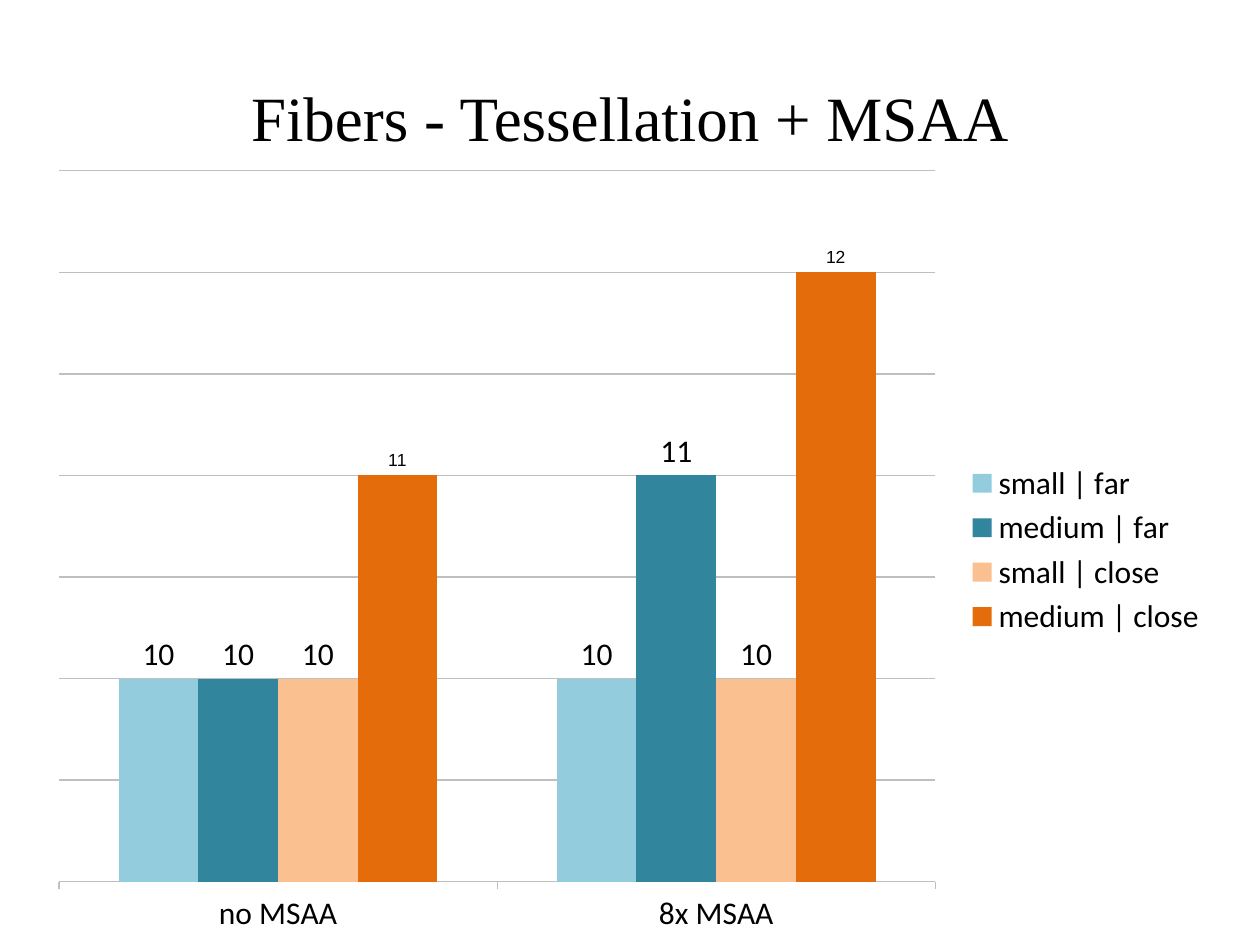
from dataclasses import dataclass

from lxml import etree
from pptx import Presentation
from pptx.chart.chart import Chart
from pptx.chart.data import CategoryChartData
from pptx.dml.color import RGBColor
from pptx.enum.chart import (
    XL_CHART_TYPE,
    XL_LABEL_POSITION,
    XL_LEGEND_POSITION,
    XL_TICK_LABEL_POSITION,
    XL_TICK_MARK,
)
from pptx.enum.text import MSO_ANCHOR, PP_ALIGN
from pptx.oxml.ns import qn
from pptx.util import Inches, Pt

CLUSTERED = XL_CHART_TYPE.COLUMN_CLUSTERED
OUTSIDE_END = XL_LABEL_POSITION.OUTSIDE_END
LEGEND_RIGHT = XL_LEGEND_POSITION.RIGHT
LABELS_LOW = XL_TICK_LABEL_POSITION.LOW
TICK_OUTSIDE = XL_TICK_MARK.OUTSIDE
TICK_NONE = XL_TICK_MARK.NONE
MIDDLE = MSO_ANCHOR.MIDDLE
CENTER = PP_ALIGN.CENTER

COLORS = {
    "text": "000000",
    "line": "BFBFBF",
    "small_far": "93CDDD",
    "medium_far": "31859C",
    "small_close": "FAC090",
    "medium_close": "E46C0A",
}
CATEGORIES = ["no MSAA", "8x MSAA"]


@dataclass(frozen=True)
class FiberSeries:
    name: str
    values: tuple[int, int]
    color: str
    label_font: str = "Calibri"
    label_size: int = 18


FIBER_SERIES = [
    FiberSeries("small | far", (10, 10), "small_far"),
    FiberSeries("medium | far", (10, 11), "medium_far"),
    FiberSeries("small | close", (10, 10), "small_close"),
    FiberSeries("medium | close", (11, 12), "medium_close", "Arial", 10),
]


def rgb(name: str) -> RGBColor:
    return RGBColor.from_string(COLORS[name])


def style_font(font, name: str, size: int) -> None:
    font.name = name
    font.size = Pt(size)
    font.bold = False
    font.color.rgb = rgb("text")


def style_line(line) -> None:
    line.color.rgb = rgb("line")
    line.width = Pt(0.75)


def add_title(slide, text: str) -> None:
    title = slide.shapes.title
    title.left, title.top = Inches(0.5), Inches(0.3)
    title.width, title.height = Inches(9), Inches(1.25)
    title.text_frame.vertical_anchor = MIDDLE
    paragraph = title.text_frame.paragraphs[0]
    paragraph.alignment = CENTER
    run = paragraph.add_run()
    run.text = text
    style_font(run.font, "Times New Roman", 36)


def place_plot(chart: Chart, left: float, top: float, width: float, height: float) -> None:
    plot_area = chart.plots[0]._element.getparent()
    for old_layout in plot_area.findall(qn("c:layout")):
        plot_area.remove(old_layout)
    layout = etree.Element(qn("c:layout"))
    plot_area.insert(0, layout)
    manual = etree.SubElement(layout, qn("c:manualLayout"))
    settings = {
        "layoutTarget": "inner", "xMode": "edge", "yMode": "edge",
        "x": left, "y": top, "w": width, "h": height,
    }
    for tag, value in settings.items():
        etree.SubElement(manual, qn(f"c:{tag}")).set("val", str(value))


def style_axes(chart: Chart) -> None:
    category_axis = chart.category_axis
    category_axis.major_tick_mark = TICK_OUTSIDE
    category_axis.minor_tick_mark = TICK_NONE
    category_axis.tick_label_position = LABELS_LOW
    style_line(category_axis.format.line)

    value_axis = chart.value_axis
    value_axis.minimum_scale = 9
    value_axis.maximum_scale = 12.5
    value_axis.major_unit = 0.5
    value_axis.has_major_gridlines = True
    style_line(value_axis.major_gridlines.format.line)
    value_axis.visible = False


def style_series(series, fiber: FiberSeries) -> None:
    series.invert_if_negative = False
    series.format.fill.solid()
    series.format.fill.fore_color.rgb = rgb(fiber.color)
    labels = series.data_labels
    labels.show_value = True
    labels.position = OUTSIDE_END
    style_font(labels.font, fiber.label_font, fiber.label_size)


def add_fiber_chart(slide) -> None:
    data = CategoryChartData()
    data.categories = CATEGORIES
    for fiber in FIBER_SERIES:
        data.add_series(fiber.name, fiber.values)
    frame = slide.shapes.add_chart(
        CLUSTERED, Inches(0.28), Inches(1.23), Inches(9.4), Inches(6.27), data
    )
    chart = frame.chart
    chart.has_title = False
    style_font(chart.font, "Calibri", 18)
    chart.has_legend = True
    chart.legend.position = LEGEND_RIGHT
    chart.legend.include_in_layout = False
    style_axes(chart)
    plot = chart.plots[0]
    plot.vary_by_categories = False
    plot.gap_width = 150
    plot.overlap = 0
    for series, fiber in zip(plot.series, FIBER_SERIES):
        style_series(series, fiber)
    place_plot(chart, 0.02, 0.02, 0.74, 0.9)


presentation = Presentation()
presentation.slide_width = Inches(10)
presentation.slide_height = Inches(7.5)
slide = presentation.slides.add_slide(presentation.slide_layouts[5])
add_title(slide, "Fibers - Tessellation + MSAA")
add_fiber_chart(slide)
presentation.save("out.pptx")
